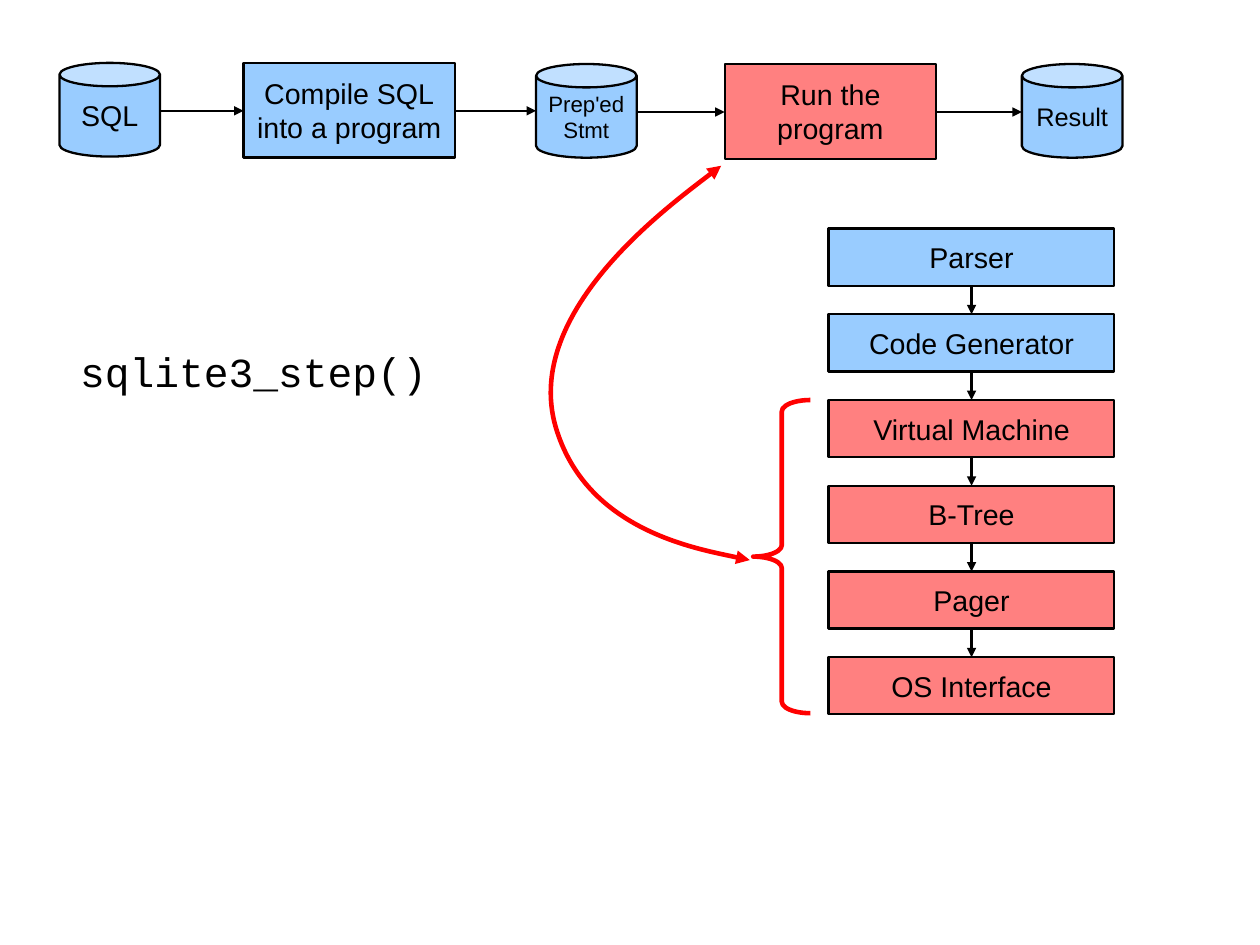
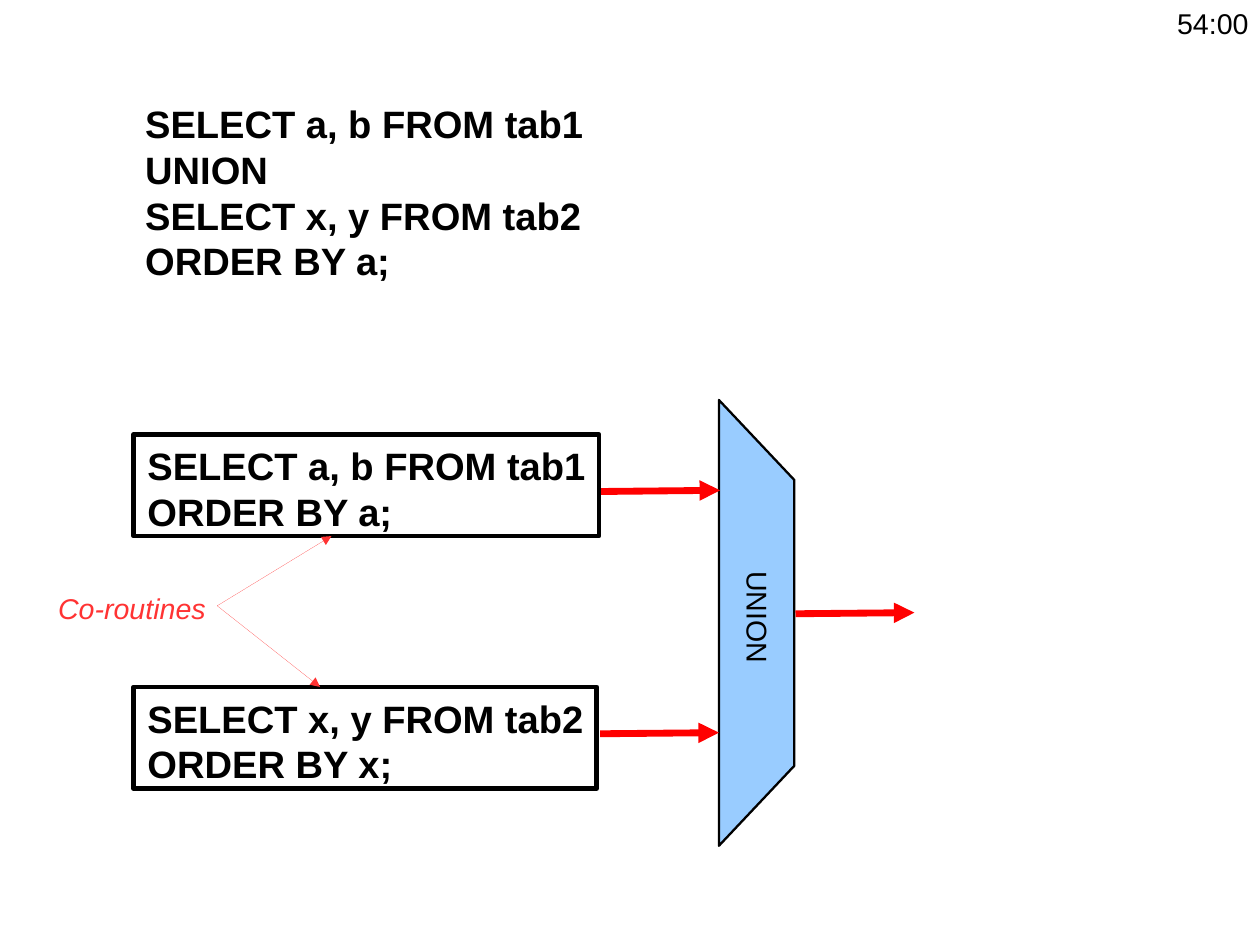
from dataclasses import dataclass
from itertools import pairwise

from lxml import etree
from pptx import Presentation
from pptx.dml.color import RGBColor
from pptx.enum.shapes import MSO_CONNECTOR, MSO_SHAPE
from pptx.enum.text import MSO_ANCHOR, MSO_AUTO_SIZE, PP_ALIGN
from pptx.oxml.ns import qn
from pptx.util import Cm, Inches, Pt

RECTANGLE = MSO_SHAPE.RECTANGLE
CAN = MSO_SHAPE.CAN
LEFT_BRACE = MSO_SHAPE.LEFT_BRACE
STRAIGHT = MSO_CONNECTOR.STRAIGHT
LEFT, CENTER = PP_ALIGN.LEFT, PP_ALIGN.CENTER
TOP, MIDDLE = MSO_ANCHOR.TOP, MSO_ANCHOR.MIDDLE
FIXED = MSO_AUTO_SIZE.NONE


@dataclass(frozen=True)
class Theme:
    ink: str = "000000"
    blue: str = "99CCFF"
    coral: str = "FF8080"
    red: str = "FF0000"
    note: str = "FF3333"
    sans: str = "Arial"
    mono: str = "Courier New"
    small: int = 14
    medium: int = 16
    body: int = 18
    query: int = 24
    call: int = 26
    hairline: float = 0.01
    thin: float = 1.45
    thick: float = 2.89
    heavy: float = 4.31


THEME = Theme()
SLIDE_WIDTH, SLIDE_HEIGHT = Cm(28), Cm(21)
TITLE_ONLY = 5

CALL = ["sqlite3_step()"]
CALL_BOX = (0.6, 2.98, 3.25, 0.52)
CAN_SIZE, STAGE_SIZE = (0.88, 0.82), (1.85, 0.83)
PIPELINE = [
    (CAN, ["SQL"], THEME.blue, THEME.body, 0.52, 0.55),
    (RECTANGLE, ["Compile SQL", "into a program"], THEME.blue, THEME.body, 2.13, 0.55),
    (CAN, ["Prep'ed", "Stmt"], THEME.blue, THEME.small, 4.69, 0.56),
    (RECTANGLE, ["Run the", "program"], THEME.coral, THEME.body, 6.34, 0.56),
    (CAN, ["Result"], THEME.blue, THEME.medium, 8.94, 0.56),
]
FLOW_DROP = 0.42
LAYERS = [
    ("Parser", THEME.blue),
    ("Code Generator", THEME.blue),
    ("Virtual Machine", THEME.coral),
    ("B-Tree", THEME.coral),
    ("Pager", THEME.coral),
    ("OS Interface", THEME.coral),
]
LAYER_LEFT, LAYER_TOP, LAYER_PITCH = 7.25, 2, 0.75
LAYER_SIZE = (2.5, 0.5)
BRACE_BOX = (6.59, 3.5, 0.5, 2.74)
STEP_CURVE = [
    (6.31, 1.45), (6.31, 1.45), (4.57, 2.71), (4.86, 3.73),
    (5.13, 4.66), (6.56, 4.9), (6.56, 4.9),
]

QUERY = ["SELECT a, b FROM tab1", "UNION", "SELECT x, y FROM tab2", "ORDER BY a;"]
QUERY_BOX = (1.17, 0.83, 4.03, 1.6)
ROUTINES = [
    (["SELECT a, b FROM tab1", "ORDER BY a;"], (1.17, 3.8, 4.07, 0.89)),
    (["SELECT x, y FROM tab2", "ORDER BY x;"], (1.17, 6.01, 4.05, 0.89)),
]
UNION_OUTLINE = [(6.29, 7.4), (6.29, 3.5), (6.95, 4.2), (6.95, 6.7)]
DATA_STARTS = [(5.26, 4.3), (6.96, 5.37), (5.25, 6.42)]
DATA_RUN, DATA_RISE = 1.04, 0.01
NOTE_START = (1.9, 5.3)
NOTE_ENDS = [(2.9, 4.69), (2.8, 6.01)]
LABELS = [
    ("UNION", (6.14, 5.21, 1, 0.38), 90, {}),
    ("Co-routines", (0.41, 5.12, 1.49, 0.38), 0, {"color": THEME.note, "italic": True}),
    ("54:00", (10.2, 0, 0.82, 0.38), 0, {}),
]


def inches(values):
    return [Inches(value) for value in values]


def apply(target, formats):
    for name, value in formats.items():
        setattr(target, name, value)


def write(shape, lines, size=THEME.body, font=THEME.sans, color=THEME.ink,
          bold=False, italic=False, align=LEFT, anchor=TOP, wrap=True,
          inset=(0.1, 0.05)):
    frame = shape.text_frame
    side, edge = inches(inset)
    apply(frame, {
        "text": "\n".join(lines), "word_wrap": wrap, "auto_size": FIXED,
        "vertical_anchor": anchor, "margin_left": side,
        "margin_right": side if align == CENTER else 0,
        "margin_top": edge, "margin_bottom": edge,
    })
    for paragraph in frame.paragraphs:
        paragraph.alignment = align
        for run in paragraph.runs:
            apply(run.font, {"name": font, "size": Pt(size), "bold": bold, "italic": italic})
            run.font.color.rgb = RGBColor.from_string(color)


def stroke(shape, color, width):
    shape.line.color.rgb = RGBColor.from_string(color)
    shape.line.width = Pt(width)


def paint(shape, fill=None, color=THEME.ink, width=THEME.thin):
    shape.shadow.inherit = False
    if fill:
        shape.fill.solid()
        shape.fill.fore_color.rgb = RGBColor.from_string(fill)
    else:
        shape.fill.background()
    stroke(shape, color, width)


def add_arrowheads(shape, *ends):
    outline = shape._element.spPr.find(qn("a:ln"))
    for end in ends:
        etree.SubElement(outline, qn(f"a:{end}"), type="triangle")


def add_block(slide, kind, box, lines, fill, size=THEME.body):
    shape = slide.shapes.add_shape(kind, *inches(box))
    paint(shape, fill)
    write(shape, lines, size, align=CENTER, anchor=MIDDLE, wrap=kind == RECTANGLE,
          inset=(0.11, 0.06))


def add_arrow(slide, start, end, color=THEME.ink, width=THEME.thin):
    connector = slide.shapes.add_connector(STRAIGHT, *inches(start + end))
    stroke(connector, color, width)
    add_arrowheads(connector, "tailEnd")
    etree.SubElement(connector._element.spPr, qn("a:effectLst"))


def add_outline(slide, points, close):
    start, *others = [inches(point) for point in points]
    builder = slide.shapes.build_freeform(*start)
    builder.add_line_segments(others, close=close)
    return builder.convert_to_shape()


def add_curve(slide, points):
    shape = add_outline(slide, points, False)
    segments = list(shape._element.iter(qn("a:lnTo")))
    for first in range(0, len(segments), 3):
        group = segments[first:first + 3]
        bezier = etree.Element(qn("a:cubicBezTo"))
        group[0].addprevious(bezier)
        for segment in group:
            bezier.append(segment[0])
            segment.getparent().remove(segment)
    paint(shape, color=THEME.red, width=THEME.thick)
    add_arrowheads(shape, "headEnd", "tailEnd")


def add_slide(presentation, title_lines, box, **formats):
    slide = presentation.slides.add_slide(presentation.slide_layouts[TITLE_ONLY])
    title = slide.shapes.title
    apply(title, dict(zip(("left", "top", "width", "height"), inches(box))))
    write(title, title_lines, **formats)
    return slide


def build_step_slide(presentation):
    slide = add_slide(presentation, CALL, CALL_BOX, size=THEME.call, font=THEME.mono)
    boxes = []
    for kind, lines, fill, size, left, top in PIPELINE:
        boxes.append((left, top, *(CAN_SIZE if kind == CAN else STAGE_SIZE)))
        add_block(slide, kind, boxes[-1], lines, fill, size)
    for (left, top, width, _), following in pairwise(boxes):
        level = top + FLOW_DROP
        add_arrow(slide, (left + width, level), (following[0], level))

    width, height = LAYER_SIZE
    center = LAYER_LEFT + width / 2
    for row, (name, fill) in enumerate(LAYERS):
        top = LAYER_TOP + row * LAYER_PITCH
        add_block(slide, RECTANGLE, (LAYER_LEFT, top, width, height), [name], fill)
        if row:
            add_arrow(slide, (center, top - LAYER_PITCH + height), (center, top))

    brace = slide.shapes.add_shape(LEFT_BRACE, *inches(BRACE_BOX))
    brace.adjustments[0] = 0.2
    paint(brace, color=THEME.red, width=THEME.thick)
    add_curve(slide, STEP_CURVE)


def build_union_slide(presentation):
    slide = add_slide(presentation, QUERY, QUERY_BOX, size=THEME.query, bold=True)
    for lines, box in ROUTINES:
        routine = slide.shapes.add_shape(RECTANGLE, *inches(box))
        paint(routine, width=THEME.thick)
        write(routine, lines, THEME.query, bold=True, inset=(0.12, 0.07))
    paint(add_outline(slide, UNION_OUTLINE, True), THEME.blue)
    for text, box, rotation, formats in LABELS:
        label = slide.shapes.add_textbox(*inches(box))
        label.rotation = rotation
        write(label, [text], **formats)
    for left, level in DATA_STARTS:
        end = (left + DATA_RUN, level - DATA_RISE)
        add_arrow(slide, (left, level), end, THEME.red, THEME.heavy)
    for end in NOTE_ENDS:
        add_arrow(slide, NOTE_START, end, THEME.note, THEME.hairline)


presentation = Presentation()
apply(presentation, {"slide_width": SLIDE_WIDTH, "slide_height": SLIDE_HEIGHT})
build_step_slide(presentation)
build_union_slide(presentation)
presentation.save("out.pptx")
